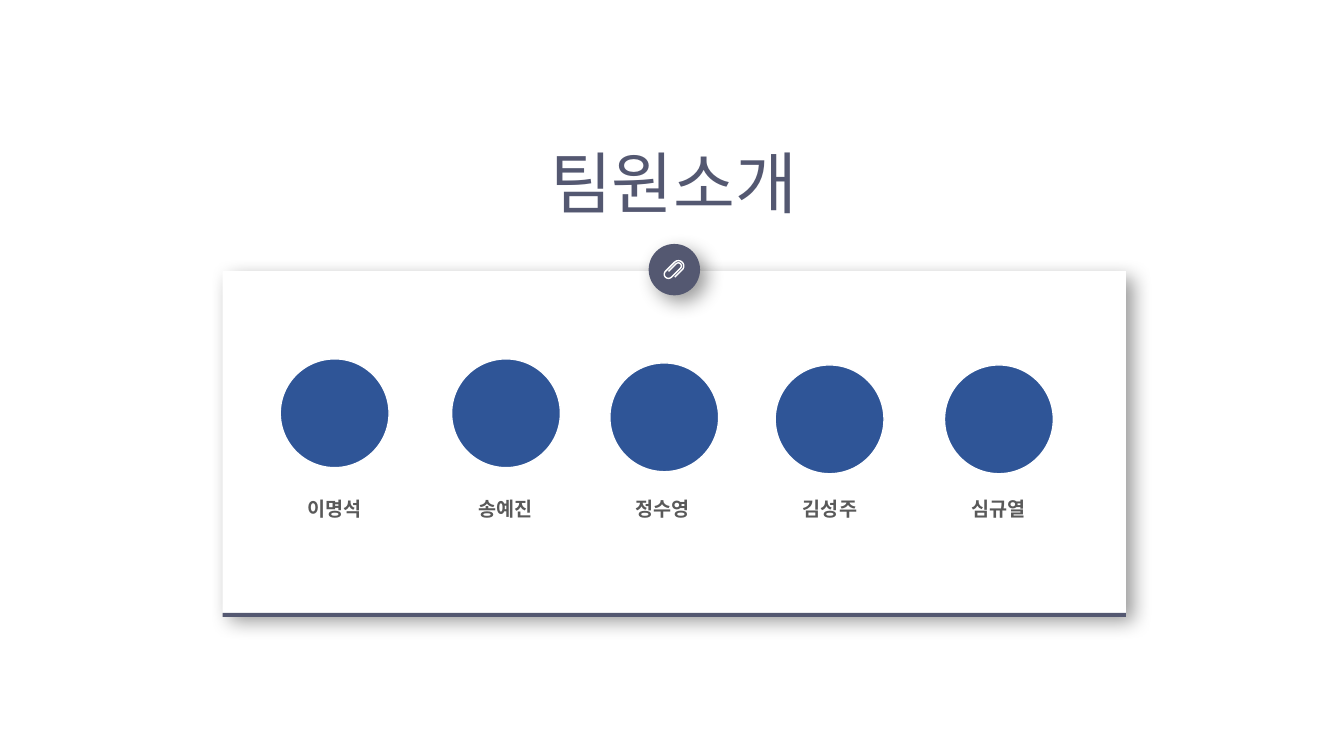
"""Build the team introduction slide."""
import math

from lxml import etree
from pptx import Presentation
from pptx.dml.color import RGBColor
from pptx.enum.shapes import MSO_SHAPE
from pptx.enum.text import MSO_ANCHOR, MSO_AUTO_SIZE, PP_ALIGN
from pptx.oxml.ns import qn
from pptx.util import Emu, Inches, Pt

ELLIPSE, ROUNDED = MSO_SHAPE.OVAL, MSO_SHAPE.ROUNDED_RECTANGLE
TOP, CENTER = MSO_ANCHOR.TOP, PP_ALIGN.CENTER
GROW = MSO_AUTO_SIZE.SHAPE_TO_FIT_TEXT

TITLE = "팀원소개"
MEMBERS = [
    ("이명석", 2.78, 3.56, 2.6),
    ("송예진", 4.48, 3.56, 4.3),
    ("정수영", 6.05, 3.6, 5.86),
    ("김성주", 7.69, 3.62, 7.52),
    ("심규열", 9.37, 3.62, 9.19),
]
FONT = "Noto Sans CJK KR"
SLATE, BLUE, WHITE, GREY = "545871", "2F5597", "FFFFFF", "595959"

CARD_LEFT, CARD_TOP, CARD_WIDTH, CARD_HEIGHT = 2.21, 2.69, 8.96, 3.4
BAR_TOP, BAR_HEIGHT = 6.08, 0.04
PORTRAIT = 1.08
NAME_TOP, NAME_WIDTH, NAME_HEIGHT = 4.76, 1.43, 0.72
BADGE = 0.51

CLIP_CENTER = (668.5, 267.5)
CLIP_LEGS = [6, -4.7, 3.6, -2.5]
CLIP_BENDS = [5.7, -7, 5.7]
CLIP_ENDS = (-4.6, -5)
CLIP_HALF_WIDTH = 0.7
BEND_STEPS = 12


def color(value):
    return RGBColor.from_string(value)


def add_shadow(shape):
    effects = etree.SubElement(shape.fill._xPr, qn("a:effectLst"))
    shadow = etree.SubElement(
        effects, qn("a:outerShdw"), blurRad=str(Pt(14)), dist=str(Pt(7)),
        dir="2700000", algn="tl", rotWithShape="0")
    tint = etree.SubElement(shadow, qn("a:srgbClr"), val="000000")
    etree.SubElement(tint, qn("a:alpha"), val="40000")


def paint(shape, fill, line=None, shadow=False):
    shape.fill.solid()
    shape.fill.fore_color.rgb = color(fill)
    if line:
        shape.line.color.rgb = color(line)
        shape.line.width = Pt(1)
    else:
        shape.line.fill.background()
    if shadow:
        add_shadow(shape)
    else:
        shape.shadow.inherit = False


def add_block(page, kind, left, top, width, height, **look):
    shape = page.shapes.add_shape(
        kind, Inches(left), Inches(top), Inches(width), Inches(height))
    if kind == ROUNDED:
        shape.adjustments[0] = 0
    paint(shape, **look)


def write(box, text, size, ink, bold=False):
    frame = box.text_frame
    frame.word_wrap = True
    frame.auto_size = GROW
    frame.vertical_anchor = TOP
    para = frame.paragraphs[0]
    para.alignment = CENTER
    para.line_spacing = 1.5
    span = para.add_run()
    span.text = text
    span.font.size = Pt(size)
    span.font.bold = bold
    span.font.name = FONT
    span.font.color.rgb = color(ink)
    etree.SubElement(span.font._element, qn("a:ea"), typeface=FONT)


def clip_side(offset):
    points = [(CLIP_ENDS[0], CLIP_LEGS[0] + offset)]
    for turn, bend in enumerate(CLIP_BENDS):
        first, second = CLIP_LEGS[turn:turn + 2]
        middle, radius = (first + second) / 2, abs(first - second) / 2 + offset
        for step in range(BEND_STEPS + 1):
            angle = math.pi * (0.5 - turn - step / BEND_STEPS)
            points.append((bend + radius * math.cos(angle),
                           middle + radius * math.sin(angle)))
    return points + [(CLIP_ENDS[1], CLIP_LEGS[-1] - offset)]


def add_clip(page):
    outline = clip_side(CLIP_HALF_WIDTH) + clip_side(-CLIP_HALF_WIDTH)[::-1]
    points = [(Inches((CLIP_CENTER[0] + (along + across) / math.sqrt(2)) / 100),
               Inches((CLIP_CENTER[1] + (across - along) / math.sqrt(2)) / 100))
              for along, across in outline]
    builder = page.shapes.build_freeform(*points[0])
    builder.add_line_segments(points[1:], close=True)
    paint(builder.convert_to_shape(), WHITE)


def main():
    deck = Presentation()
    deck.slide_width, deck.slide_height = Emu(12192000), Inches(7.5)
    page = deck.slides.add_slide(deck.slide_layouts[5])

    title = page.shapes.title
    title.left, title.top = Inches(3.67), Inches(0.95)
    title.width, title.height = Inches(6.03), Inches(1.16)
    write(title, TITLE, size=48, ink=SLATE)

    add_block(page, ROUNDED, CARD_LEFT, CARD_TOP, CARD_WIDTH, CARD_HEIGHT,
              fill=WHITE, shadow=True)
    add_block(page, ROUNDED, CARD_LEFT, BAR_TOP, CARD_WIDTH, BAR_HEIGHT, fill=SLATE)
    add_block(page, ELLIPSE, CARD_LEFT + (CARD_WIDTH - BADGE) / 2,
              2.42, BADGE, BADGE, fill=SLATE, shadow=True)
    add_clip(page)

    for name, left, top, name_left in MEMBERS:
        add_block(page, ELLIPSE, left, top, PORTRAIT, PORTRAIT, fill=BLUE, line=WHITE)
        box = page.shapes.add_textbox(Inches(name_left), Inches(NAME_TOP),
                                      Inches(NAME_WIDTH), Inches(NAME_HEIGHT))
        write(box, name, size=14, ink=GREY, bold=True)

    deck.save("out.pptx")


if __name__ == "__main__":
    main()
